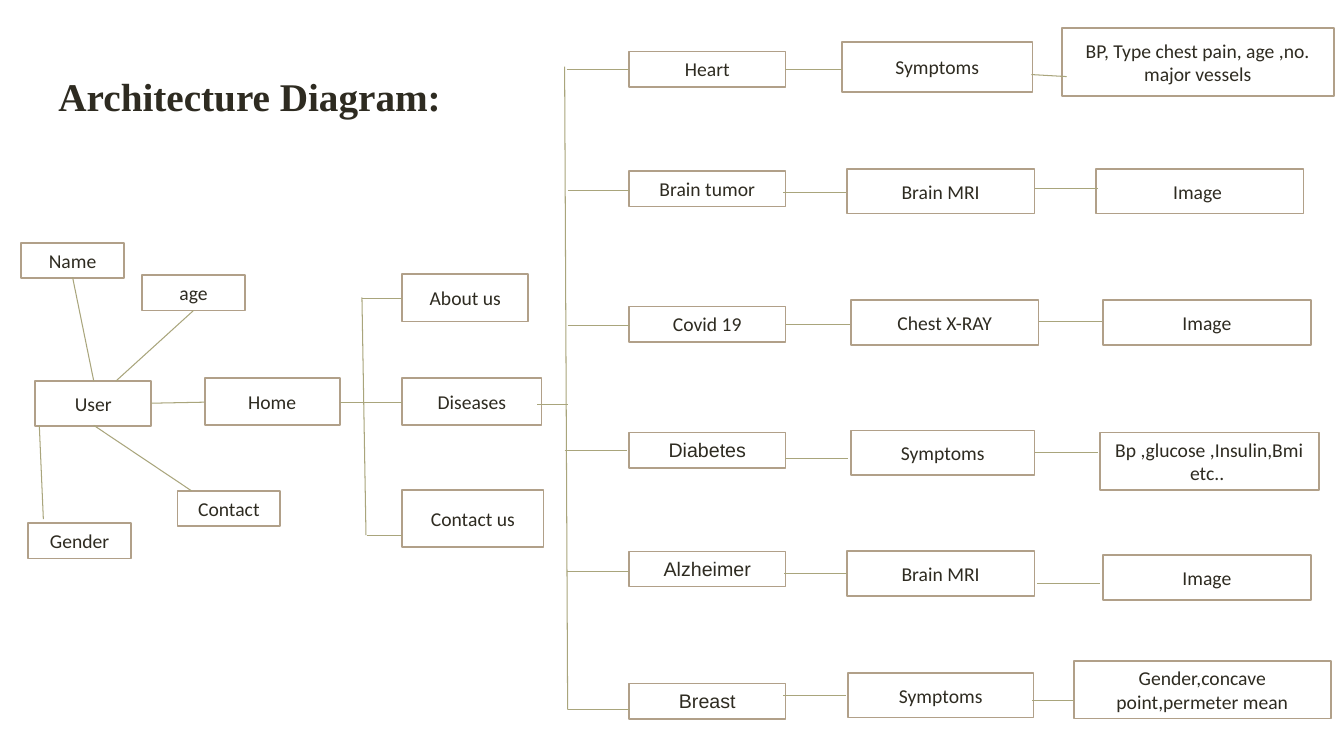
"""Build the architecture diagram slide of a disease prediction app."""
from lxml import etree
from pptx import Presentation
from pptx import util as u
from pptx.dml.color import RGBColor
from pptx.enum import shapes, text
from pptx.oxml.ns import qn

INK = RGBColor(0x2E, 0x2B, 0x21)
BORDER = RGBColor(0xB1, 0xA0, 0x89)
LINK = RGBColor(0xA9, 0xA5, 0x7C)
WHITE = RGBColor(0xFF, 0xFF, 0xFF)

TITLE = "Architecture Diagram:"
TITLE_AREA = (0.48, 0.67, 4.27, 0.57)

DISEASE_LEFT, DISEASE_WIDTH, DISEASE_HEIGHT = 6.24, 1.55, 0.35
DISEASES = [
    ("Heart", "Calibri", 0.51),
    ("Brain tumor", "Calibri", 1.7),
    ("Covid 19", "Calibri", 3.04),
    ("Diabetes", "Arial", 4.29),
    ("Alzheimer", "Arial", 5.47),
    ("Breast", "Arial", 6.78),
]

ATTRIBUTE_WIDTH, ATTRIBUTE_HEIGHT = 1.02, 0.35
ATTRIBUTES = [
    ("Name", 0.21, 2.41),
    ("age", 1.41, 2.73),
    ("Contact", 1.76, 4.87),
    ("Gender", 0.28, 5.19),
]

PAGES = [
    ("User", 0.35, 3.78, 1.15, 0.45),
    ("Home", 2.03, 3.75, 1.34, 0.47),
    ("About us", 3.99, 2.72, 1.25, 0.47),
    ("Diseases", 3.99, 3.75, 1.38, 0.47),
    ("Contact us", 3.99, 4.86, 1.4, 0.57),
]
TESTS = [
    ("Symptoms", 8.35, 0.42, 1.89, 0.49),
    ("Brain MRI", 8.4, 1.68, 1.86, 0.44),
    ("Chest X-RAY", 8.44, 2.98, 1.86, 0.44),
    ("Symptoms", 8.44, 4.27, 1.82, 0.44),
    ("Brain MRI", 8.4, 5.47, 1.86, 0.44),
    ("Symptoms", 8.41, 6.68, 1.84, 0.44),
]
INPUTS = [
    ("BP, Type chest pain, age ,no. major vessels", 10.53, 0.28, 2.7, 0.67),
    ("Image ", 10.87, 1.68, 2.06, 0.44),
    ("Image", 10.94, 2.98, 2.06, 0.44),
    ("Bp ,glucose ,Insulin,Bmi etc.. ", 10.91, 4.29, 2.17, 0.57),
    ("Image", 10.94, 5.51, 2.06, 0.44),
    ("Gender,concave point,permeter mean", 10.65, 6.56, 2.55, 0.57),
]

LEVEL_LINKS = [
    (3.37, 3.99, 3.99), (3.59, 3.99, 2.96), (3.64, 3.99, 5.31), (5.33, 5.63, 4.01),
    (5.62, 6.24, 0.69), (5.63, 6.25, 1.89), (5.63, 6.25, 3.23),
    (5.6, 6.22, 4.47), (5.62, 6.24, 5.67), (5.63, 6.25, 7.04),
    (7.79, 8.35, 0.69), (7.77, 8.39, 1.91), (7.8, 8.43, 3.22),
    (7.79, 8.41, 4.55), (7.78, 8.4, 5.69), (7.77, 8.39, 6.9),
    (10.27, 10.89, 1.87), (10.3, 10.93, 3.19), (10.27, 10.89, 4.49),
    (10.29, 10.91, 5.79), (10.24, 10.65, 6.95),
]
SLOPED_LINKS = [
    (1.5, 4, 2.03, 3.99), (3.59, 2.95, 3.63, 5.31), (5.6, 0.66, 5.63, 7.04),
    (10.23, 0.74, 10.58, 0.76), (0.72, 2.75, 0.93, 3.78), (1.92, 3.08, 1.15, 3.78),
    (0.93, 4.22, 1.9, 4.87), (0.39, 4.22, 0.43, 5.15),
]


def add_run(paragraph, words, font_name, size, bold=False):
    run = paragraph.add_run()
    run.text = words
    run.font.name = font_name
    run.font.size = u.Pt(size)
    run.font.bold = bold
    run.font.color.rgb = INK


def add_box(slide, words, left, top, width, height, font_name="Calibri"):
    area = [u.Inches(length) for length in (left, top, width, height)]
    shape = slide.shapes.add_shape(shapes.MSO_SHAPE.RECTANGLE, *area)
    shape.shadow.inherit = False
    shape.fill.solid()
    shape.fill.fore_color.rgb = WHITE
    shape.line.color.rgb = BORDER
    shape.line.width = u.Pt(1.25)
    frame = shape.text_frame
    frame.word_wrap = True
    frame.vertical_anchor = text.MSO_ANCHOR.MIDDLE
    paragraph = frame.paragraphs[0]
    paragraph.alignment = text.PP_ALIGN.CENTER
    add_run(paragraph, words, font_name, 14)


def add_link(slide, *ends):
    connector = slide.shapes.add_connector(
        shapes.MSO_CONNECTOR.STRAIGHT, *[u.Inches(length) for length in ends])
    connector.line.color.rgb = LINK
    connector.line.width = u.Pt(0.75)
    etree.SubElement(connector._element.spPr, qn("a:effectLst"))


def add_title(slide):
    title = slide.shapes.title
    title.left, title.top, title.width, title.height = map(u.Inches, TITLE_AREA)
    frame = title.text_frame
    frame.word_wrap = True
    frame.vertical_anchor = text.MSO_ANCHOR.MIDDLE
    paragraph = frame.paragraphs[0]
    paragraph.alignment = text.PP_ALIGN.LEFT
    add_run(paragraph, TITLE, "Times New Roman", 28, bold=True)


def main():
    presentation = Presentation()
    presentation.slide_width = u.Inches(13.33)
    presentation.slide_height = u.Inches(7.5)
    slide = presentation.slides.add_slide(presentation.slide_layouts[5])
    add_title(slide)
    for box in PAGES + TESTS + INPUTS:
        add_box(slide, *box)
    for name, font_name, top in DISEASES:
        add_box(slide, name, DISEASE_LEFT, top, DISEASE_WIDTH, DISEASE_HEIGHT, font_name)
    for name, left, top in ATTRIBUTES:
        add_box(slide, name, left, top, ATTRIBUTE_WIDTH, ATTRIBUTE_HEIGHT)
    for start, end, level in LEVEL_LINKS:
        add_link(slide, start, level, end, level)
    for ends in SLOPED_LINKS:
        add_link(slide, *ends)
    presentation.save("out.pptx")


if __name__ == "__main__":
    main()
